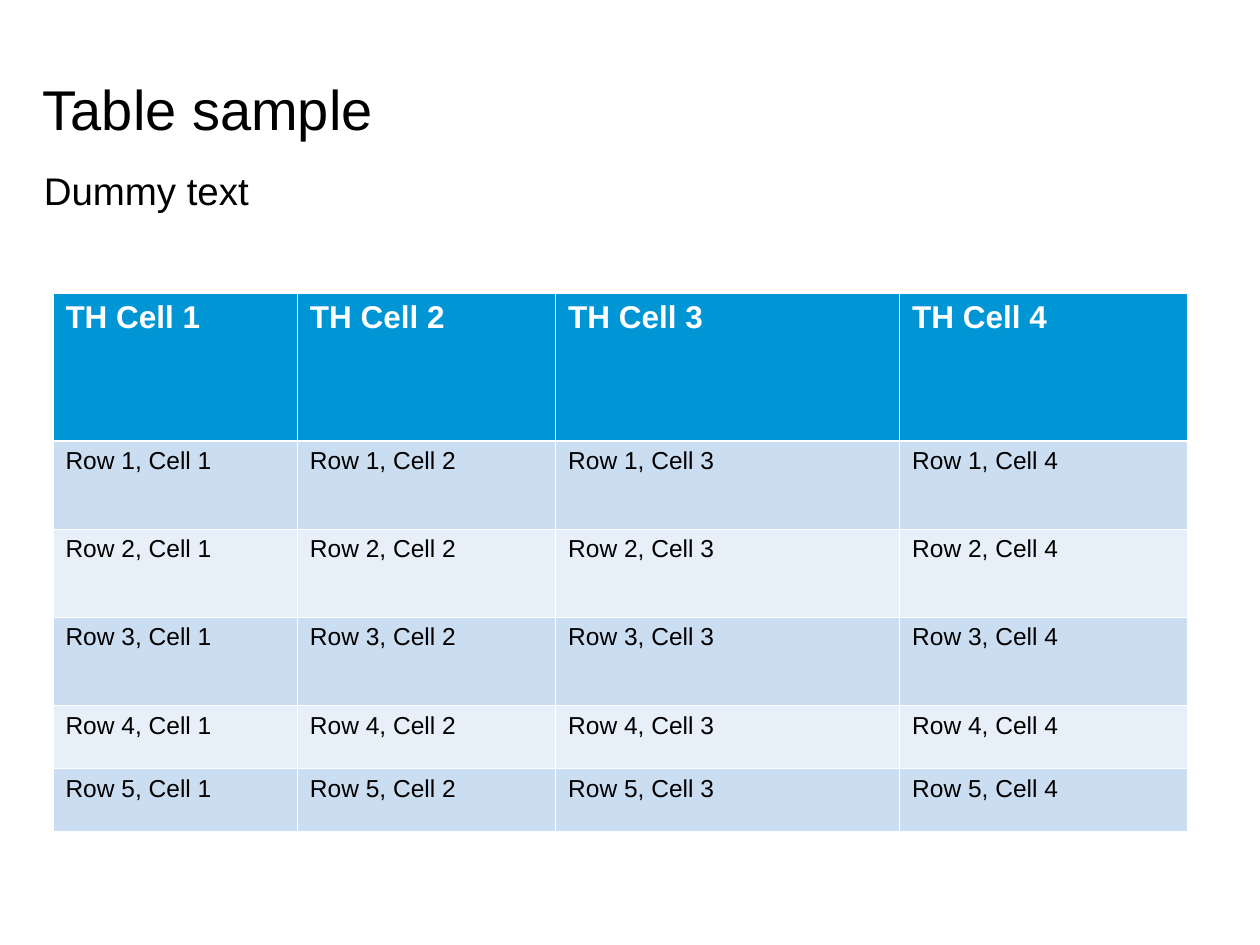
from dataclasses import dataclass
from typing import Any

from lxml.etree import SubElement
from pptx import Presentation
from pptx.dml.color import RGBColor
from pptx.enum.text import MSO_ANCHOR
from pptx.oxml.ns import qn
from pptx.util import Inches, Pt


def color(value):
    return RGBColor.from_string(value)


@dataclass
class SlideBuilder:
    """Draws styled elements on a slide grid of 100 columns by 75 rows."""

    slide: Any
    column: int
    row: int
    font: str = "Arial"
    ink: str = "000000"
    paper: str = "FFFFFF"
    header: str = "0096D6"
    bands: tuple = ("CBDDF0", "E7EFF8")
    thin: float = 0.45
    thick: float = 1.47

    def across(self, columns):
        return round(columns * self.column)

    def down(self, rows):
        return round(rows * self.row)

    def background(self):
        fill = self.slide.background.fill
        fill.solid()
        fill.fore_color.rgb = color(self.paper)

    def run(self, paragraph, text, size, ink, bold=False):
        run = paragraph.add_run()
        run.text = text
        run.font.name = self.font
        run.font.size = Pt(size)
        run.font.bold = bold
        run.font.color.rgb = color(ink)

    def text(self, text, left, top, width, height, size, spacing, anchor, inset=1):
        shape = self.slide.shapes.add_textbox(
            self.across(left), self.down(top), self.across(width), self.down(height))
        frame = shape.text_frame
        frame.word_wrap = True
        frame.vertical_anchor = anchor
        frame.margin_left = frame.margin_right = self.across(inset)
        paragraph = frame.paragraphs[0]
        paragraph.line_spacing = spacing
        self.run(paragraph, text, size, self.ink)

    def border(self, cell, side, width):
        line = SubElement(cell._tc.get_or_add_tcPr(), qn(f"a:ln{side}"), w=str(Pt(width)))
        fill = SubElement(line, qn("a:solidFill"))
        SubElement(fill, qn("a:srgbClr"), val=self.paper)

    def cell(self, cell, text, row_index):
        is_header = row_index == 0
        top = self.thick if row_index == 1 else self.thin
        bottom = self.thick if is_header else self.thin
        for side, width in zip("LRTB", (self.thin, self.thin, top, bottom)):
            self.border(cell, side, width)
        cell.fill.solid()
        cell.fill.fore_color.rgb = color(
            self.header if is_header else self.bands[(row_index - 1) % 2])
        size, ink = (18, self.paper) if is_header else (14, self.ink)
        self.run(cell.text_frame.paragraphs[0], text, size, ink, is_header)

    def table(self, rows, left, top, widths, heights):
        table = self.slide.shapes.add_table(
            len(heights), len(widths), self.across(left), self.down(top),
            self.across(sum(widths)), self.down(sum(heights))).table
        for column, width in zip(table.columns, widths):
            column.width = self.across(width)
        for row, height in zip(table.rows, heights):
            row.height = self.down(height)
        for row_index, texts in enumerate(rows):
            for column_index, text in enumerate(texts):
                self.cell(table.cell(row_index, column_index), text, row_index)


def main():
    presentation = Presentation()
    presentation.slide_width = Inches(10)
    presentation.slide_height = Inches(7.5)
    slide = presentation.slides.add_slide(presentation.slide_layouts[6])
    builder = SlideBuilder(
        slide, presentation.slide_width // 100, presentation.slide_height // 75)

    builder.background()
    builder.text("Table sample", 2.5, 2.5, 95, 9.2, 32, 0.8, MSO_ANCHOR.BOTTOM, 0.9)
    builder.text("Dummy text", 2.5, 13, 95, 9.5, 22, 0.95, MSO_ANCHOR.TOP)

    numbers = range(1, 5)
    rows = [[f"TH Cell {number}" for number in numbers]]
    rows += [[f"Row {row}, Cell {number}" for number in numbers] for row in range(1, 6)]
    builder.table(rows, 4.2, 23.3, (19.4, 20.5, 27.3, 22.8), (11.7, 7, 7, 7, 5, 5))
    presentation.save("out.pptx")


if __name__ == "__main__":
    main()
